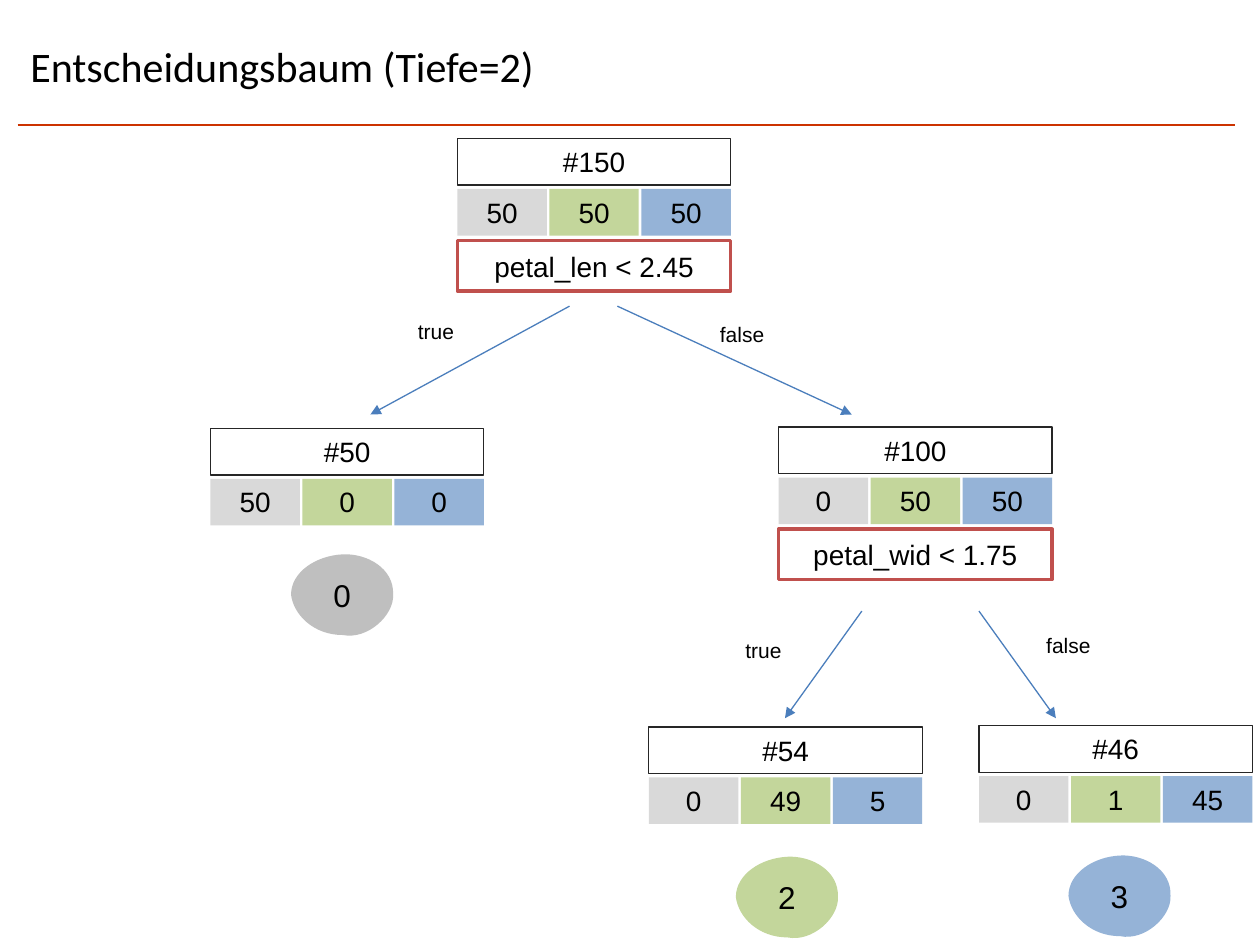
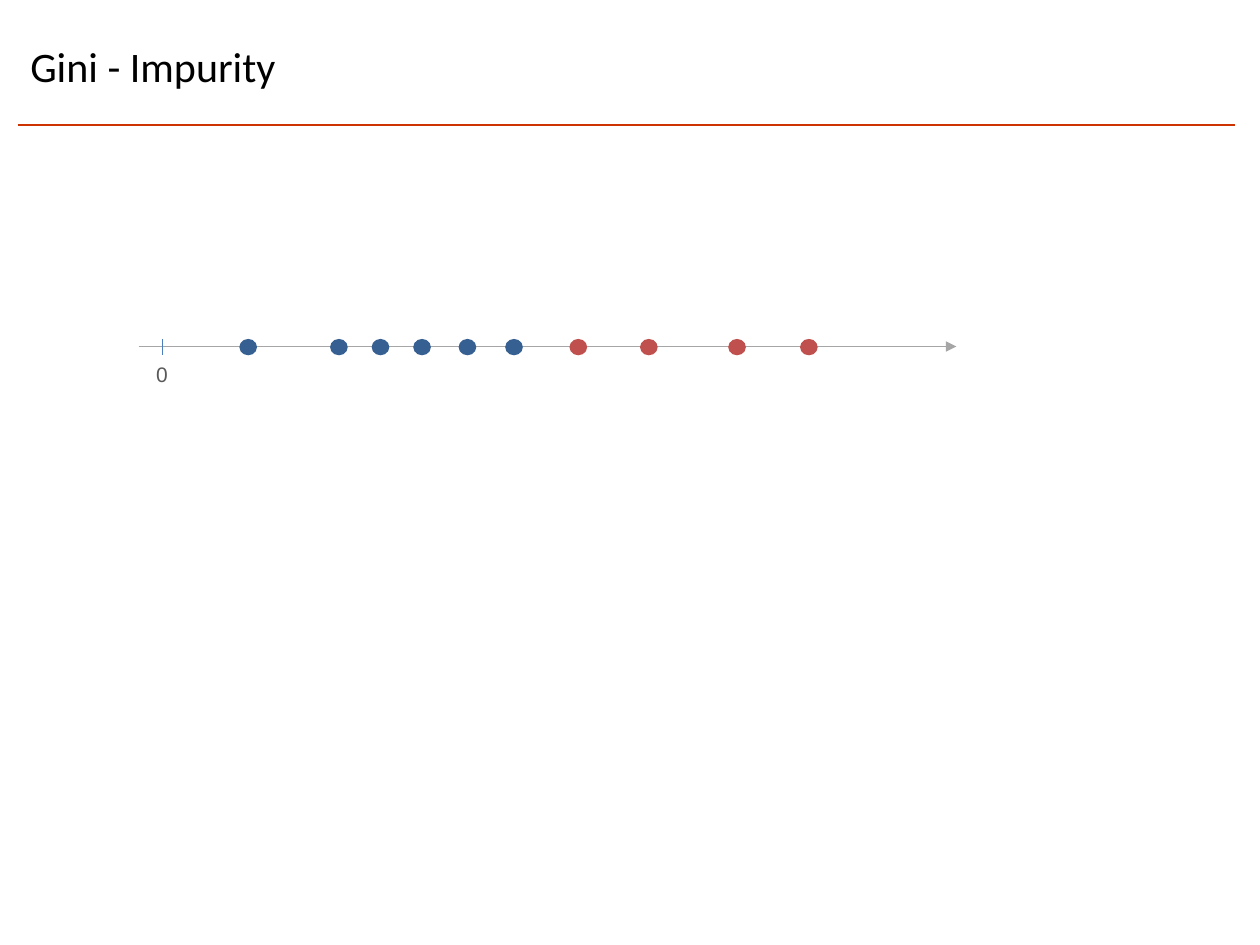
from lxml.etree import SubElement
from pptx import Presentation
from pptx.dml.color import RGBColor
from pptx.enum.shapes import MSO_CONNECTOR, MSO_SHAPE
from pptx.enum.text import MSO_ANCHOR, MSO_AUTO_SIZE, PP_ALIGN
from pptx.oxml.ns import qn
from pptx.util import Inches, Pt

BLACK = RGBColor(0x00, 0x00, 0x00)
WHITE = RGBColor(0xFF, 0xFF, 0xFF)
RULE_RED = RGBColor(0xCC, 0x33, 0x00)
FRAME = RGBColor(0x26, 0x26, 0x26)
LABEL_GRAY = RGBColor(0x59, 0x59, 0x59)
AXIS_GRAY = RGBColor(0xA6, 0xA6, 0xA6)
CLASS_GRAY = RGBColor(0xBF, 0xBF, 0xBF)
LIGHT_GRAY = RGBColor(0xD9, 0xD9, 0xD9)
GREEN = RGBColor(0xC3, 0xD6, 0x9B)
BLUE = RGBColor(0x95, 0xB3, 0xD7)
ARROW_BLUE = RGBColor(0x4B, 0x7E, 0xBC)
DOT_BLUE = RGBColor(0x37, 0x60, 0x92)
RED = RGBColor(0xC0, 0x50, 0x4D)

NODE_WIDTH, ROW_HEIGHT = 2.17, 0.37
CELL_WIDTH, CELL_PITCH = 0.71, 0.73
CELL_COLORS = (LIGHT_GRAY, GREEN, BLUE)

# Outline of a class marker: start point, then cubic curves, from its top left
BLOB_START = (0, 0.32)
BLOB_CURVES = (
    ((0, 0.14), (0.2, 0.01), (0.41, 0)),
    ((0.6, -0.01), (0.82, 0.11), (0.81, 0.32)),
    ((0.82, 0.48), (0.61, 0.68), (0.41, 0.64)),
    ((0.18, 0.64), (0.02, 0.48), (0, 0.32)),
)


def write_text(shape, text, size=16, color=BLACK, font="Arial",
               align=PP_ALIGN.CENTER, anchor=MSO_ANCHOR.TOP,
               side_margin=0.1, wrap=True):
    frame = shape.text_frame
    frame.auto_size = MSO_AUTO_SIZE.NONE
    frame.word_wrap = wrap
    frame.vertical_anchor = anchor
    frame.margin_left = frame.margin_right = Inches(side_margin)
    paragraph = frame.paragraphs[0]
    paragraph.alignment = align
    run = paragraph.add_run()
    run.text = text
    run.font.name = font
    run.font.size = Pt(size)
    run.font.color.rgb = color


def style_shape(shape, fill=None, line=None, line_width=0.75):
    shape.shadow.inherit = False
    if fill is None:
        shape.fill.background()
    else:
        shape.fill.solid()
        shape.fill.fore_color.rgb = fill
    if line is None:
        shape.line.fill.background()
    else:
        shape.line.color.rgb = line
        shape.line.width = Pt(line_width)


def add_preset(slide, kind, left, top, width, height, **style):
    shape = slide.shapes.add_shape(
        kind, Inches(left), Inches(top), Inches(width), Inches(height))
    style_shape(shape, **style)
    return shape


def add_label(slide, text, left, top, width, **text_format):
    label = slide.shapes.add_textbox(
        Inches(left), Inches(top), Inches(width), Inches(0.3))
    write_text(label, text, size=12, **text_format)


def add_line(slide, start, end, color, width=0.75, arrow=False):
    line = slide.shapes.add_connector(
        MSO_CONNECTOR.STRAIGHT, *(Inches(value) for value in start + end))
    line.line.color.rgb = color
    line.line.width = Pt(width)
    properties = line.element.spPr
    if arrow:
        SubElement(properties.find(qn("a:ln")), qn("a:tailEnd"), type="triangle")
    SubElement(properties, qn("a:effectLst"))


def add_titled_slide(presentation, title_text):
    slide = presentation.slides.add_slide(presentation.slide_layouts[5])
    add_line(slide, (0.14, 0.99), (9.8, 0.99), RULE_RED, width=1)
    title = slide.shapes.title
    title.left, title.top = Inches(0.14), Inches(0.06)
    title.width, title.height = Inches(8.81), Inches(0.93)
    write_text(title, title_text, size=24, font="Calibri",
               align=PP_ALIGN.LEFT, anchor=MSO_ANCHOR.MIDDLE)
    return slide


def add_class_marker(slide, left, top, text, color):
    builder = slide.shapes.build_freeform(
        Inches(BLOB_START[0]), Inches(BLOB_START[1]))
    builder.add_line_segments(
        [(Inches(x), Inches(y)) for _, _, (x, y) in BLOB_CURVES], close=False)
    marker = builder.convert_to_shape(Inches(left), Inches(top))
    # Bend each straight segment with its two control points
    segments = list(marker.element.iter(qn("a:lnTo")))
    for segment, (first, second, _) in zip(segments, BLOB_CURVES):
        curve = SubElement(segment.getparent(), qn("a:cubicBezTo"))
        for x, y in (first, second):
            SubElement(curve, qn("a:pt"), x=str(Inches(x)), y=str(Inches(y)))
        curve.append(segment[0])
        segment.getparent().remove(segment)
    SubElement(curve.getparent(), qn("a:close"))
    style_shape(marker, fill=color)
    write_text(marker, text, size=18, anchor=MSO_ANCHOR.MIDDLE)


def add_node(slide, left, top, counts, question=None):
    # Total of samples
    total = add_preset(slide, MSO_SHAPE.RECTANGLE, left, top,
                       NODE_WIDTH, ROW_HEIGHT, line=FRAME)
    write_text(total, f"#{sum(counts)}")
    # Samples in each class
    for index, (count, color) in enumerate(zip(counts, CELL_COLORS)):
        cell = add_preset(slide, MSO_SHAPE.RECTANGLE,
                          left + index * CELL_PITCH, top + 0.4,
                          CELL_WIDTH, ROW_HEIGHT, fill=color)
        write_text(cell, str(count), side_margin=0)
    # Split condition
    if question:
        box = add_preset(slide, MSO_SHAPE.RECTANGLE, left, top + 0.81,
                         NODE_WIDTH, 0.4, fill=WHITE, line=RED, line_width=2)
        write_text(box, question, anchor=MSO_ANCHOR.MIDDLE)


def build_tree_slide(presentation):
    slide = add_titled_slide(presentation, "Entscheidungsbaum (Tiefe=2)")
    # Branches: start, end, label, label position
    branches = (
        ((4.9, 2.43), (6.76, 3.29), "false", (5.44, 2.5)),
        ((4.52, 2.43), (2.94, 3.29), "true", (3.01, 2.48)),
        ((6.84, 4.85), (6.23, 5.7), "true", (5.61, 5.01)),
        ((7.77, 4.85), (8.38, 5.7), "false", (8.03, 4.97)),
    )
    for start, end, answer, position in branches:
        add_line(slide, start, end, ARROW_BLUE, arrow=True)
        add_label(slide, answer, *position, 0.9)
    # Nodes
    add_node(slide, 1.67, 3.4, (50, 0, 0))
    add_node(slide, 3.63, 1.1, (50, 50, 50), "petal_len < 2.45")
    add_node(slide, 6.18, 3.39, (0, 50, 50), "petal_wid < 1.75")
    add_node(slide, 5.15, 5.77, (0, 49, 5))
    add_node(slide, 7.77, 5.76, (0, 1, 45))
    # Predicted classes
    add_class_marker(slide, 2.31, 4.4, "0", CLASS_GRAY)
    add_class_marker(slide, 5.84, 6.8, "2", GREEN)
    add_class_marker(slide, 8.48, 6.79, "3", BLUE)


def add_number_line(slide, left, middle, width):
    # Axis
    add_line(slide, (left, middle), (left + width, middle), AXIS_GRAY, arrow=True)
    # Samples of both classes
    samples = (
        (DOT_BLUE, (0.8, 1.52, 1.85, 2.18, 2.54, 2.91)),
        (RED, (3.42, 3.98, 4.68, 5.25)),
    )
    for color, offsets in samples:
        for offset in offsets:
            add_preset(slide, MSO_SHAPE.OVAL, left + offset, middle - 0.06,
                       0.14, 0.13, fill=color)
    # Zero mark
    zero = left + 0.19
    add_line(slide, (zero, middle - 0.06), (zero, middle + 0.07), ARROW_BLUE)
    add_label(slide, "0", zero - 0.15, middle + 0.07, 0.29, color=LABEL_GRAY,
              align=PP_ALIGN.LEFT, wrap=False)


def build_gini_slide(presentation):
    slide = add_titled_slide(presentation, "Gini - Impurity")
    add_number_line(slide, 1.1, 2.75, 6.49)


def main():
    presentation = Presentation()
    presentation.slide_width = Inches(10)
    presentation.slide_height = Inches(7.5)
    build_tree_slide(presentation)
    build_gini_slide(presentation)
    presentation.save("out.pptx")


if __name__ == "__main__":
    main()
